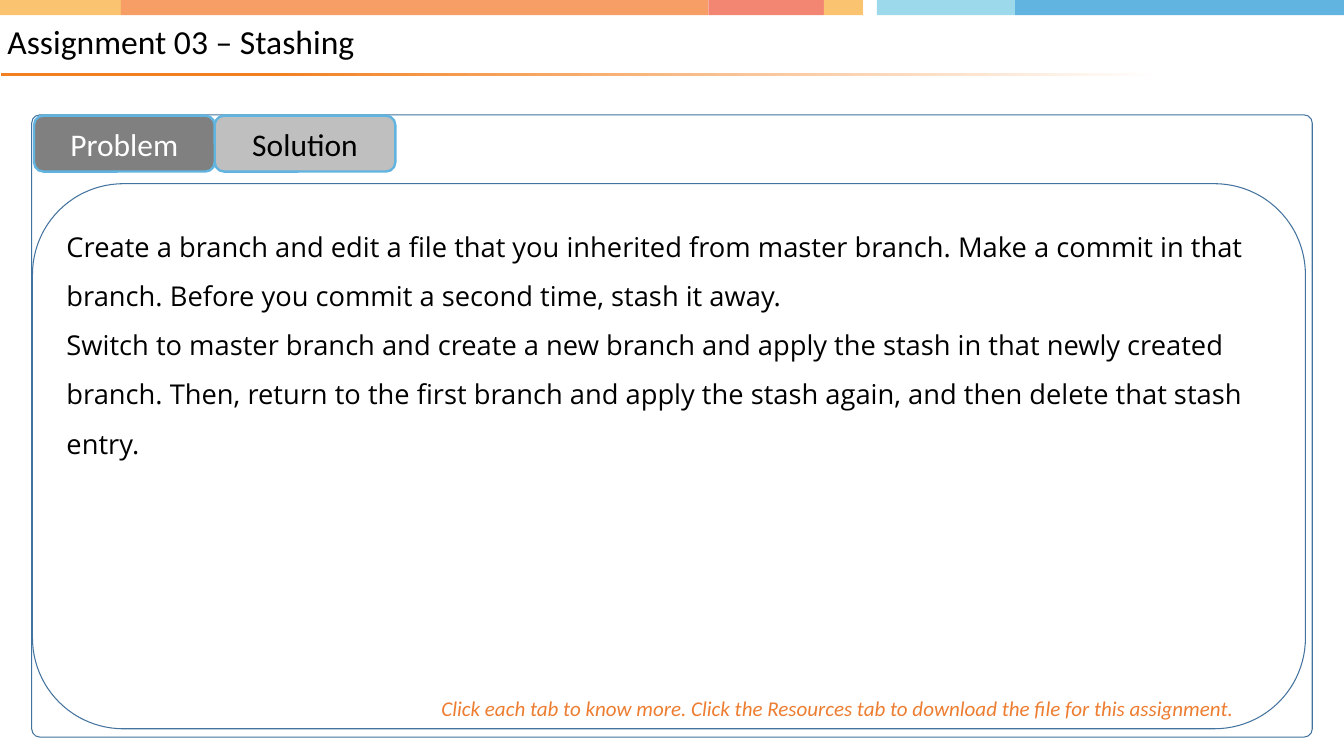
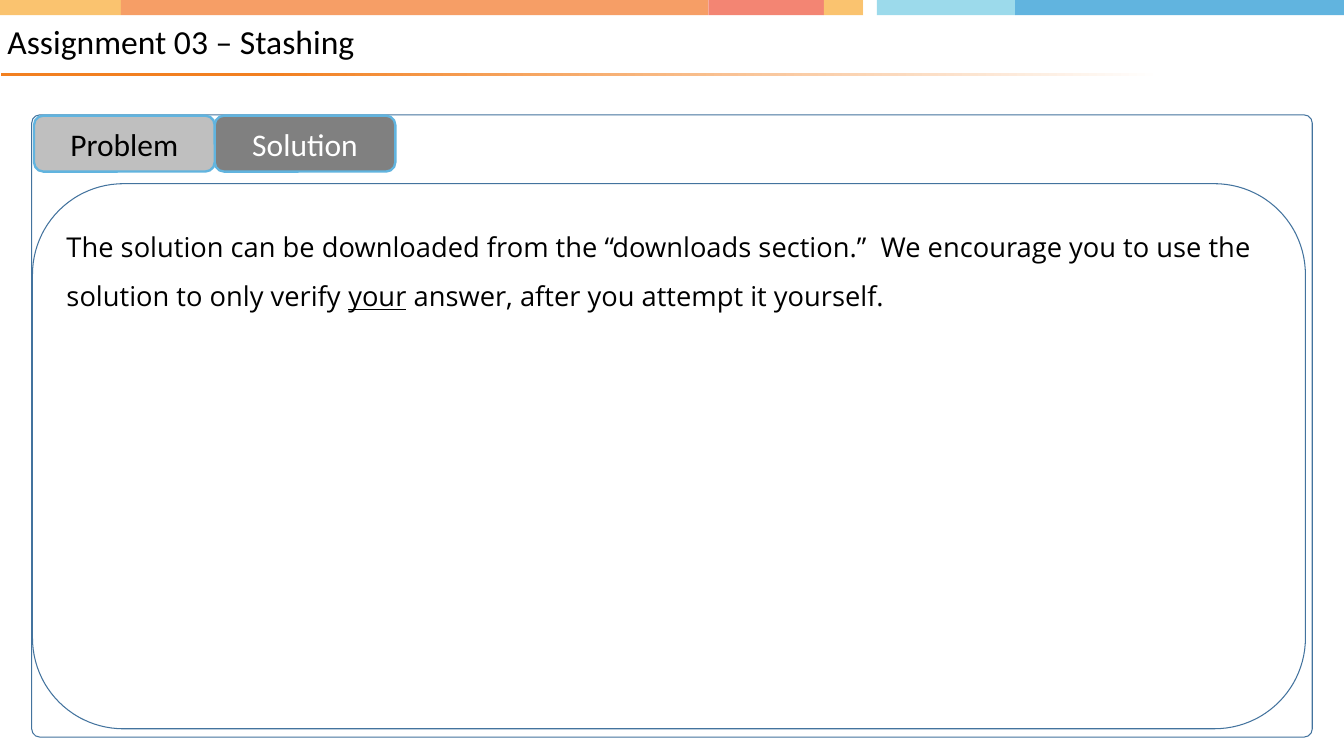
import pptx
import pptx.util
import pptx.dml.color
import pptx.enum.shapes
import pptx.enum.text

WIDTH, HEIGHT = 17.78, 10
TITLE = "Assignment 03 – Stashing"
TABS = ["Problem", "Solution"]
HINT = "Click each tab to know more. Click the Resources tab to download the file for this assignment."

SLIDES = [
    {
        "active": "Problem",
        "paragraphs": [
            ["Create a branch and edit a file that you inherited from master branch. "
             "Make a commit in that branch. Before you commit a second time, stash it away."],
            ["Switch to master branch and create a new branch and apply the stash in that "
             "newly created branch. Then, return to the first branch and apply the stash "
             "again, and then delete that stash entry."],
        ],
        "underlined": [],
        "hint": HINT,
    },
    {
        "active": "Solution",
        "paragraphs": [
            ["The solution can be downloaded from the “downloads section.”  We encourage "
             "you to use the solution to only verify ",
             "your",
             " answer, after you attempt it yourself."],
        ],
        "underlined": ["your"],
        "hint": None,
    },
]

BAND = [
    (1.6, "FAC36F"), (7.77, "F69E66"), (1.53, "F38573"), (0.52, "FAC36F"),
    (0.18, "FFFFFF"), (1.83, "9CDAEB"), (4.35, "61B4DF"),
]
BAND_TOP, BAND_HEIGHT = -0.01, 0.21
BLACK, WHITE = "000000", "FFFFFF"
FRAME_LINE, TAB_LINE = "43739E", "61B4DF"
TAB_ACTIVE, TAB_IDLE = "808080", "BFBFBF"
RULE_COLOR, HINT_COLOR = "F28020", "ED7D31"
HEADING_FONT, BODY_FONT = "Calibri", "Open Sans"

TAB_LEFT, TAB_TOP, TAB_WIDTH, TAB_HEIGHT = 0.45, 1.53, 2.39, 0.74
RECTANGLE = pptx.enum.shapes.MSO_SHAPE.RECTANGLE
ROUNDED = pptx.enum.shapes.MSO_SHAPE.ROUNDED_RECTANGLE
ANCHOR = pptx.enum.text.MSO_ANCHOR
ALIGN = pptx.enum.text.PP_ALIGN


def color(value):
    return pptx.dml.color.RGBColor.from_string(value)


def box(bounds):
    return [pptx.util.Inches(length) for length in bounds]


def add_shape(slide, kind, bounds, fill=None, line=None, line_width=1):
    shape = slide.shapes.add_shape(kind, *box(bounds))
    shape.shadow.inherit = False
    if fill:
        shape.fill.solid()
        shape.fill.fore_color.rgb = color(fill)
    else:
        shape.fill.background()
    if line:
        shape.line.color.rgb = color(line)
        shape.line.width = pptx.util.Pt(line_width)
    else:
        shape.line.fill.background()
    return shape


def format_text(shape, size, font, text_color, align=ALIGN.LEFT, anchor=ANCHOR.TOP,
                spacing=None, italic=None):
    frame = shape.text_frame
    frame.word_wrap = True
    frame.vertical_anchor = anchor
    for paragraph in frame.paragraphs:
        paragraph.alignment = align
        paragraph.line_spacing = spacing
        for run in paragraph.runs:
            run.font.size = pptx.util.Pt(size)
            run.font.name = font
            run.font.color.rgb = color(text_color)
            run.font.italic = italic


def add_band(slide):
    left = 0
    for width, fill in BAND:
        add_shape(slide, RECTANGLE, (left, BAND_TOP, width, BAND_HEIGHT), fill)
        left += width


def add_title(slide):
    rule = add_shape(slide, RECTANGLE, (0.01, 0.96, 15.35, 0.04))
    rule.fill.gradient()
    rule.fill.gradient_angle = 0
    stops = [(0.23, RULE_COLOR), (1, WHITE)]
    for stop, (position, value) in zip(rule.fill.gradient_stops, stops):
        stop.position = position
        stop.color.rgb = color(value)

    title = slide.shapes.add_textbox(*box((0, 0.21, 14.55, 0.73)))
    frame = title.text_frame
    frame.text = TITLE
    frame.margin_left = pptx.util.Inches(0.1)
    frame.margin_top = frame.margin_right = frame.margin_bottom = 0
    frame.paragraphs[0].space_before = pptx.util.Pt(13.3)
    format_text(title, 32, HEADING_FONT, BLACK, anchor=ANCHOR.MIDDLE, spacing=0.9)


def add_panel(slide, content):
    frame = add_shape(slide, ROUNDED, (0.42, 1.52, 16.94, 8.23), line=FRAME_LINE)
    frame.adjustments[0] = 0.013

    panel = add_shape(slide, ROUNDED, (0.43, 2.43, 16.84, 7.21), line=FRAME_LINE)
    for index, parts in enumerate(content["paragraphs"]):
        text_frame = panel.text_frame
        paragraph = text_frame.add_paragraph() if index else text_frame.paragraphs[0]
        for part in parts:
            run = paragraph.add_run()
            run.text = part
            run.font.underline = part in content["underlined"]
    format_text(panel, 26, BODY_FONT, BLACK, spacing=1.5)


def add_hint(slide, text):
    hint = slide.shapes.add_textbox(*box((5.74, 9.15, 11, 0.44)))
    hint.text_frame.text = text
    format_text(hint, 20, HEADING_FONT, HINT_COLOR, italic=True)


def add_tabs(slide, active):
    for index, name in reversed(list(enumerate(TABS))):
        selected = name == active
        bounds = (TAB_LEFT + index * TAB_WIDTH, TAB_TOP, TAB_WIDTH, TAB_HEIGHT)
        tab = add_shape(slide, ROUNDED, bounds, TAB_ACTIVE if selected else TAB_IDLE,
                        TAB_LINE, 2.25)
        tab.text_frame.text = name
        format_text(tab, 30, HEADING_FONT, WHITE if selected else BLACK,
                    ALIGN.CENTER, ANCHOR.MIDDLE)


def main():
    presentation = pptx.Presentation()
    presentation.slide_width, presentation.slide_height = box((WIDTH, HEIGHT))
    for content in SLIDES:
        slide = presentation.slides.add_slide(presentation.slide_layouts[6])
        add_band(slide)
        add_title(slide)
        add_panel(slide, content)
        if content["hint"]:
            add_hint(slide, content["hint"])
        add_tabs(slide, content["active"])
    presentation.save("out.pptx")


if __name__ == "__main__":
    main()
